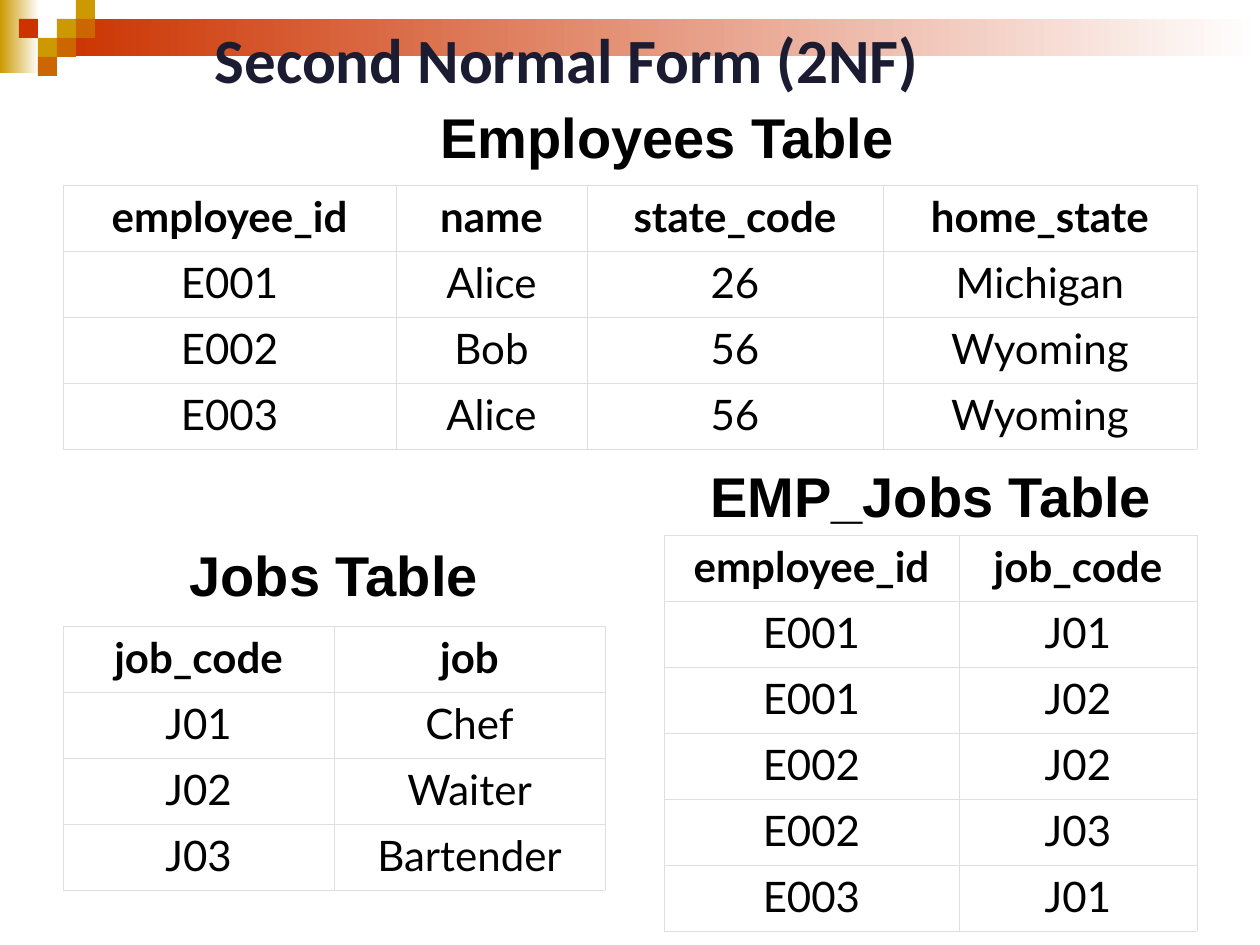
from dataclasses import dataclass

from lxml import etree
from pptx import Presentation
from pptx.dml.color import RGBColor
from pptx.enum.shapes import MSO_SHAPE
from pptx.enum.text import MSO_ANCHOR, PP_ALIGN
from pptx.oxml.ns import qn
from pptx.util import Emu, Pt

RECT = MSO_SHAPE.RECTANGLE
LEFT, CENTER = PP_ALIGN.LEFT, PP_ALIGN.CENTER
TOP = MSO_ANCHOR.TOP


@dataclass(frozen=True)
class Theme:
    gold: str = "CC9900"
    orange: str = "CC6600"
    red: str = "CC3300"
    white: str = "FFFFFF"
    black: str = "000000"
    navy: str = "1B1B32"
    border: str = "DFDFE2"
    border_pt: float = 0.34
    title: tuple = ("Calibri", 36)
    caption: tuple = ("Arial", 32)
    cell: tuple = ("Lato", 24)


T = Theme()
TITLE = "Second Normal Form (2NF)"
TITLE_BOX = (202, 14, 858, 88)

# Table corner, column widths, caption box, rows with the header first
TABLES = [
    dict(caption="Employees Table", caption_box=(426, 96, 483, 81),
         at=(63, 185), cols=(333, 191, 296, 314),
         rows=[("employee_id", "name", "state_code", "home_state"),
               ("E001", "Alice", "26", "Michigan"),
               ("E002", "Bob", "56", "Wyoming"),
               ("E003", "Alice", "56", "Wyoming")]),
    dict(caption="Jobs Table", caption_box=(175, 534, 318, 81),
         at=(63, 626), cols=(271, 271),
         rows=[("job_code", "job"),
               ("J01", "Chef"), ("J02", "Waiter"), ("J03", "Bartender")]),
    dict(caption="EMP_Jobs Table", caption_box=(696, 455, 470, 81),
         at=(664, 535), cols=(295, 238),
         rows=[("employee_id", "job_code"),
               ("E001", "J01"), ("E001", "J02"), ("E002", "J02"),
               ("E002", "J03"), ("E003", "J01")]),
]
ROW_H = 66
CELL_PAD_X, CELL_PAD_Y = 16, 6

# Bands fade to white; squares sit on a grid as (column, row, colour)
BANDS = [((0, 0, 39, 73), T.gold), ((57, 19, 1203, 37), T.red)]
SQUARE = 19
SQUARES = [(3, 1, T.gold), (4, 0, T.gold), (4, 1, T.orange), (2, 2, T.gold),
           (1, 1, T.red), (3, 2, T.orange), (2, 3, T.orange)]


def px(n):
    return Emu(round(n * 914400 / 126))


def rgb(value):
    return RGBColor.from_string(value)


def style(p, font, color, bold, align):
    p.alignment = align
    p.font.name, p.font.size = font[0], Pt(font[1])
    p.font.bold = bold
    p.font.color.rgb = rgb(color)


def add_rect(s, box, color, fade=False):
    sp = s.shapes.add_shape(RECT, *map(px, box))
    sp.shadow.inherit = False
    sp.line.fill.background()
    if fade:
        sp.fill.gradient()
        sp.fill.gradient_angle = 0
        for stop, value in zip(sp.fill.gradient_stops, (color, T.white)):
            stop.color.rgb = rgb(value)
    else:
        sp.fill.solid()
        sp.fill.fore_color.rgb = rgb(color)


def add_title(s):
    sp = s.shapes.title
    sp.element.getparent().append(sp.element)  # in front of the bands
    sp.left, sp.top, sp.width, sp.height = map(px, TITLE_BOX)
    tf = sp.text_frame
    tf.text = TITLE
    tf.word_wrap = False
    tf.vertical_anchor = TOP
    style(tf.paragraphs[0], T.title, T.navy, True, LEFT)


def add_caption(s, text, box):
    tf = s.shapes.add_textbox(*map(px, box)).text_frame
    tf.text = text
    tf.word_wrap = False
    style(tf.paragraphs[0], T.caption, T.black, True, CENTER)


def set_borders(cell):
    tcPr = cell._tc.get_or_add_tcPr()
    for i, side in enumerate(("lnL", "lnR", "lnT", "lnB")):
        ln = etree.Element(qn(f"a:{side}"), w=str(Pt(T.border_pt)))
        fill = etree.SubElement(ln, qn("a:solidFill"))
        etree.SubElement(fill, qn("a:srgbClr"), val=T.border)
        tcPr.insert(i, ln)


def add_table(s, at, cols, rows):
    size = (sum(cols), ROW_H * len(rows))
    table = s.shapes.add_table(len(rows), len(cols), *map(px, at + size)).table
    table.first_row = table.horz_banding = False
    for column, width in zip(table.columns, cols):
        column.width = px(width)
    for r, values in enumerate(rows):
        for c, value in enumerate(values):
            cell = table.cell(r, c)
            cell.text = value
            cell.margin_left = cell.margin_right = px(CELL_PAD_X)
            cell.margin_top = cell.margin_bottom = px(CELL_PAD_Y)
            cell.fill.background()
            set_borders(cell)
            style(cell.text_frame.paragraphs[0], T.cell, T.black, r == 0, CENTER)


def main():
    prs = Presentation()
    prs.slide_width, prs.slide_height = px(1260), px(945)
    s = prs.slides.add_slide(prs.slide_layouts[5])
    for box, color in BANDS:
        add_rect(s, box, color, fade=True)
    for col, row, color in SQUARES:
        add_rect(s, (col * SQUARE, row * SQUARE, SQUARE, SQUARE), color)
    add_title(s)
    for t in TABLES:
        add_table(s, t["at"], t["cols"], t["rows"])
        add_caption(s, t["caption"], t["caption_box"])
    prs.save("out.pptx")


if __name__ == "__main__":
    main()
